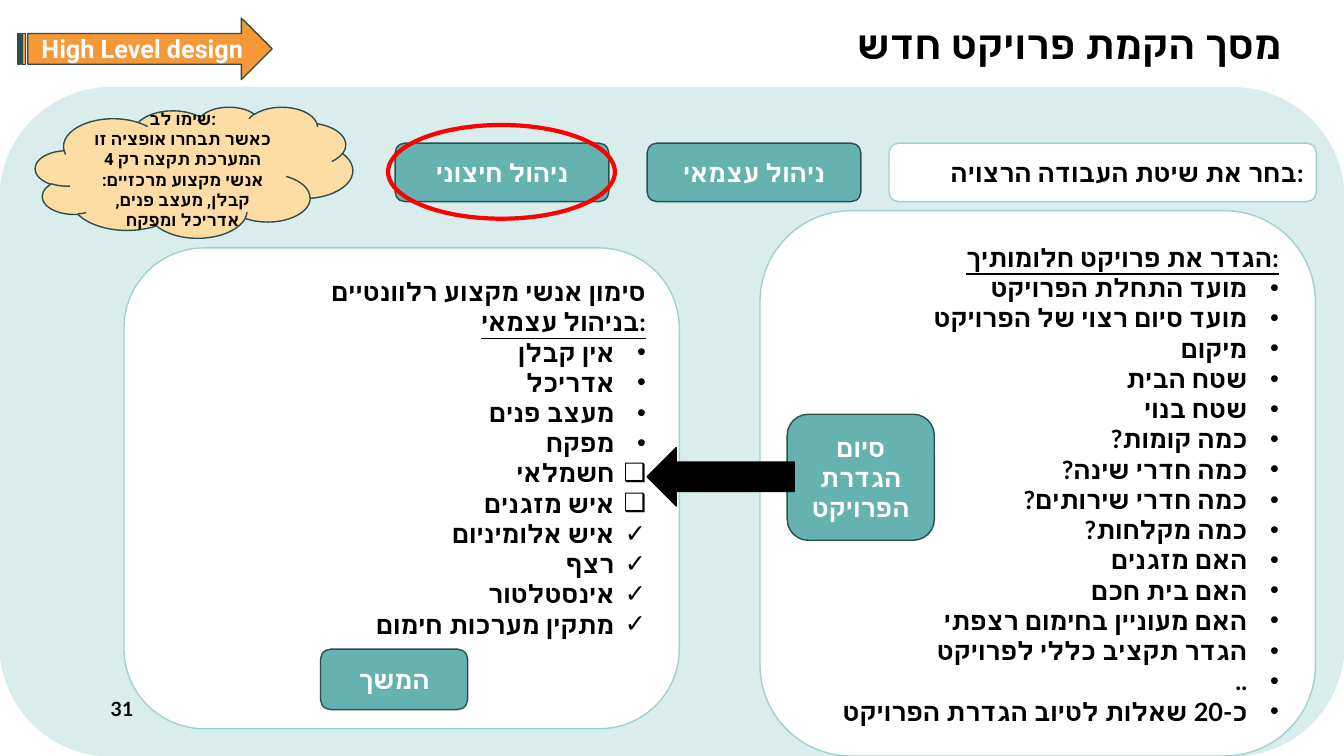
from dataclasses import dataclass

from lxml import etree
from pptx import Presentation
from pptx.dml.color import RGBColor
from pptx.enum.shapes import MSO_SHAPE
from pptx.enum.text import MSO_ANCHOR, MSO_AUTO_SIZE, PP_ALIGN
from pptx.oxml.ns import qn
from pptx.util import Pt

ROUNDED, OVAL, CLOUD = MSO_SHAPE.ROUNDED_RECTANGLE, MSO_SHAPE.OVAL, MSO_SHAPE.CLOUD
LEFT_ARROW, STRIPED_ARROW = MSO_SHAPE.LEFT_ARROW, MSO_SHAPE.STRIPED_RIGHT_ARROW
TOP, MIDDLE, BOTTOM = MSO_ANCHOR.TOP, MSO_ANCHOR.MIDDLE, MSO_ANCHOR.BOTTOM
LEFT, CENTER, RIGHT = PP_ALIGN.LEFT, PP_ALIGN.CENTER, PP_ALIGN.RIGHT


@dataclass(frozen=True)
class Theme:
    font: str = "Lato"
    accent_font: str = "Roboto"
    title_size: int = 28
    text_size: int = 18
    number_size: int = 14
    note_size: int = 12
    black: str = "000000"
    white: str = "FFFFFF"
    panel: str = "D9EDEC"
    teal: str = "66B2B0"
    dark_teal: str = "2D4E4D"
    pale_teal: str = "9FD1D0"
    note: str = "FDDDA3"
    orange: str = "F49838"
    red: str = "FF0000"


THEME = Theme()
LIST_INDENT = Pt(22.5)
BUTTON_TOP, BUTTON_WIDTH, BUTTON_HEIGHT = 102.24, 152.64, 41.76
CARD_WIDTH = 396.72
STEP_WIDTH = 105.12

PROJECT_QUESTIONS = [
    "מועד התחלת הפרויקט",
    "מועד סיום רצוי של הפרויקט",
    "מיקום",
    "שטח הבית",
    "שטח בנוי",
    "כמה קומות?",
    "כמה חדרי שינה?",
    "כמה חדרי שירותים?",
    "כמה מקלחות?",
    "האם מזגנים",
    "האם בית חכם",
    "האם מעוניין בחימום רצפתי",
    "הגדר תקציב כללי לפרויקט",
    "..",
    "כ-20 שאלות לטיוב הגדרת הפרויקט",
]
PROFESSIONALS = {
    "•": ["אין קבלן", "אדריכל", "מעצב פנים", "מפקח"],
    "❑": ["חשמלאי", "איש מזגנים"],
    "✓": ["איש אלומיניום", "רצף", "אינסטלטור", "מתקין מערכות חימום"],
}


def add_run(paragraph, text, size=THEME.text_size, color=THEME.black,
            font=THEME.font, underline=False):
    """Add a bold run whose font also covers Hebrew letters."""
    run = paragraph.add_run()
    run.text = text
    run.font.size = Pt(size)
    run.font.bold = True
    run.font.underline = underline
    run.font.name = font
    run.font.color.rgb = RGBColor.from_string(color)
    hebrew_font = etree.SubElement(run.font._element, qn("a:cs"))
    hebrew_font.set("typeface", font)


def next_paragraph(frame):
    first = frame.paragraphs[0]
    return frame.add_paragraph() if first.runs else first


def write(frame, lines, align=CENTER, anchor=MIDDLE, **style):
    frame.word_wrap = True
    frame.vertical_anchor = anchor
    for line in lines:
        paragraph = next_paragraph(frame)
        paragraph.alignment = align
        add_run(paragraph, line, **style)


def add_items(frame, mark, items):
    """Add right-to-left list items with the given bullet mark."""
    for item in items:
        paragraph = next_paragraph(frame)
        paragraph.alignment = RIGHT
        properties = paragraph._p.get_or_add_pPr()
        properties.set("marL", str(LIST_INDENT))
        properties.set("indent", str(-LIST_INDENT))
        properties.set("rtl", "1")
        etree.SubElement(properties, qn("a:buFont")).set("typeface", "Arial")
        etree.SubElement(properties, qn("a:buChar")).set("char", mark)
        add_run(paragraph, item)


def add_figure(slide, kind, box, fill, line, line_width=1):
    shape = slide.shapes.add_shape(kind, *map(Pt, box))
    shape.shadow.inherit = False
    if fill:
        shape.fill.solid()
        shape.fill.fore_color.rgb = RGBColor.from_string(fill)
    else:
        shape.fill.background()
    shape.line.color.rgb = RGBColor.from_string(line)
    shape.line.width = Pt(line_width)
    return shape


def add_button(slide, box, label):
    button = add_figure(slide, ROUNDED, box, THEME.teal, THEME.dark_teal)
    write(button.text_frame, [label], color=THEME.white)


def add_card(slide, left, top, height):
    card = add_figure(slide, ROUNDED, (left, top, CARD_WIDTH, height),
                      THEME.white, THEME.pale_teal)
    return card.text_frame


def add_title(slide, text):
    title = slide.shapes.title
    title.left, title.top, title.width, title.height = map(Pt, (604.8, 0, 347, 52))
    title.text_frame.auto_size = MSO_AUTO_SIZE.NONE
    write(title.text_frame, [text], LEFT, BOTTOM, size=THEME.title_size)
    title.text_frame.paragraphs[0].line_spacing = 0.9


def add_page_number(slide, number):
    box = slide.shapes.add_textbox(*map(Pt, (72, 491.76, 210, 28.8)))
    write(box.text_frame, [number], LEFT, size=THEME.number_size)


def add_method_choice(slide):
    """Draw the row that asks for the way of working, and its highlighted option."""
    prompt = add_figure(slide, ROUNDED, (635.04, BUTTON_TOP, 305.28, BUTTON_HEIGHT),
                        THEME.white, THEME.pale_teal)
    write(prompt.text_frame, ["בחר את שיטת העבודה הרצויה:"], RIGHT)
    for left, label in ((462.24, "ניהול עצמאי"), (282.24, "ניהול חיצוני")):
        add_button(slide, (left, BUTTON_TOP, BUTTON_WIDTH, BUTTON_HEIGHT), label)
    add_figure(slide, OVAL, (277.2, 89.28, 162, 66.96), None, THEME.red, 3)
    note = add_figure(slide, CLOUD, (25.2, 76.32, 226.8, 93.6),
                      THEME.note, THEME.dark_teal)
    write(note.text_frame,
          ["שימו לב:",
           "כאשר תבחרו אופציה זו המערכת תקצה רק 4 אנשי מקצוע מרכזיים: "
           "קבלן, מעצב פנים, אדריכל ומפקח"],
          size=THEME.note_size, font=THEME.accent_font)


def add_project_card(slide):
    text = add_card(slide, 542.88, 150.48, 389.52)
    write(text, ["הגדר את פרויקט חלומותיך:"], RIGHT, TOP, underline=True)
    add_items(text, "•", PROJECT_QUESTIONS)
    add_button(slide, (562.32, 295.92, STEP_WIDTH, 90), "סיום הגדרת הפרויקט")


def add_professionals_card(slide):
    text = add_card(slide, 88.56, 177.12, 343.44 + 0)
    write(text, ["סימון אנשי מקצוע רלוונטיים"], RIGHT, TOP)
    write(text, ["בניהול עצמאי:"], RIGHT, TOP, underline=True)
    for mark, people in PROFESSIONALS.items():
        add_items(text, mark, people)
    add_button(slide, (228.96, 463.68, STEP_WIDTH, 43.2), "המשך")
    add_figure(slide, LEFT_ARROW, (462.24, 319.68, STEP_WIDTH, BUTTON_HEIGHT),
               THEME.black, THEME.black)


def add_stage_arrow(slide, label):
    arrow = add_figure(slide, STRIPED_ARROW, (12.96, 12.96, 181.44, 43.92),
                       THEME.orange, THEME.dark_teal)
    write(arrow.text_frame, [label], color=THEME.white, font=THEME.accent_font)


def main():
    deck = Presentation()
    deck.slide_width, deck.slide_height = Pt(960), Pt(540)
    slide = deck.slides.add_slide(deck.slide_layouts[5])
    add_title(slide, "מסך הקמת פרויקט חדש")
    add_figure(slide, ROUNDED, (0, 62.64, 960, 477.36), THEME.panel, THEME.panel)
    add_method_choice(slide)
    add_project_card(slide)
    add_professionals_card(slide)
    add_page_number(slide, "31")
    add_stage_arrow(slide, "High Level design")
    deck.save("out.pptx")


if __name__ == "__main__":
    main()
